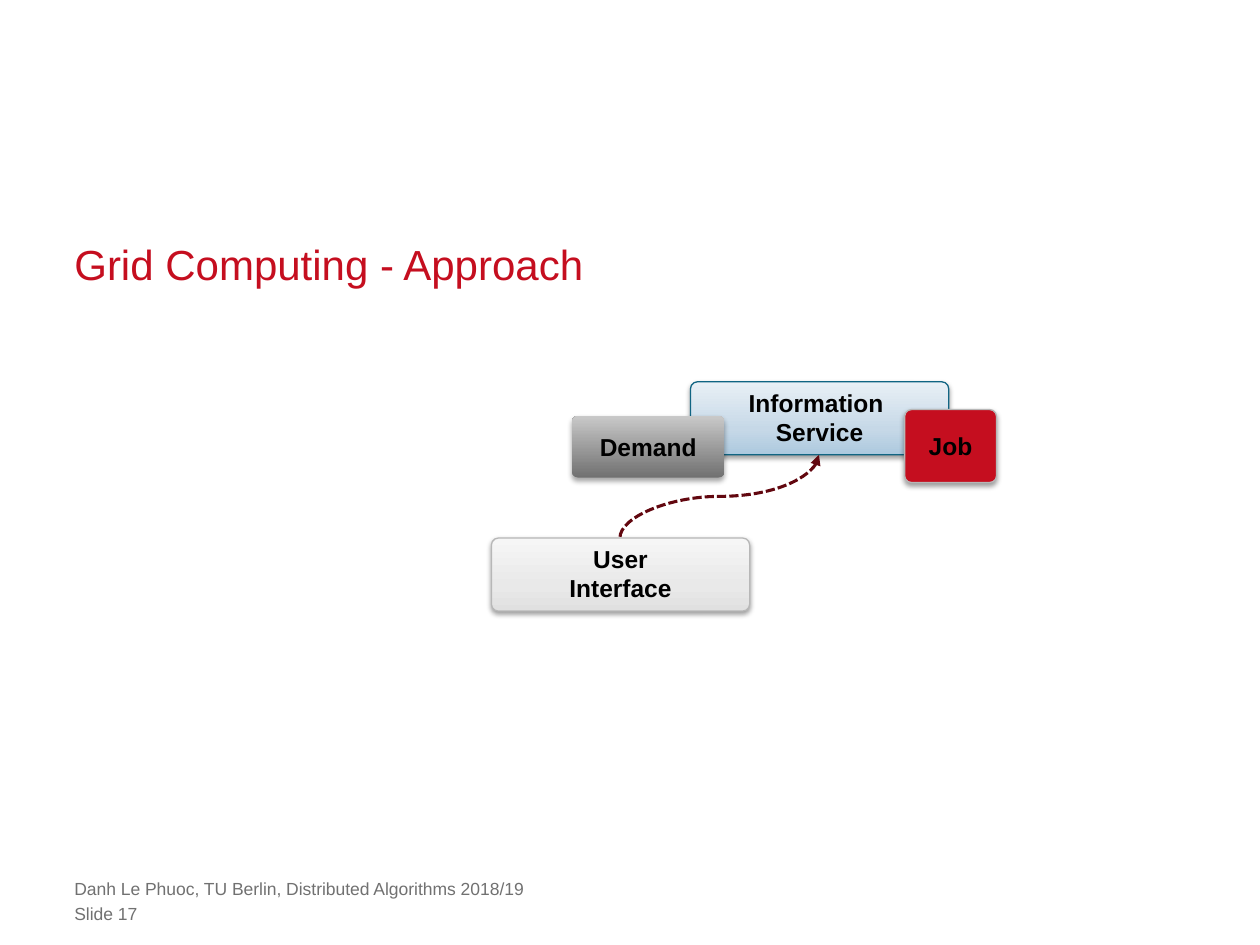
import copy

import pptx
import pptx.dml.color
import pptx.enum.dml
import pptx.enum.shapes
import pptx.enum.text
import pptx.oxml.ns
import pptx.util
from lxml import etree

RGBColor = pptx.dml.color.RGBColor
Inches = pptx.util.Inches
Pt = pptx.util.Pt
ANCHOR = pptx.enum.text.MSO_ANCHOR
qn = pptx.oxml.ns.qn

RED = RGBColor(0xC5, 0x0E, 0x1F)
DARK_RED = RGBColor(0x62, 0x07, 0x0F)
GREY = RGBColor(0x71, 0x71, 0x71)
BORDER_GREY = RGBColor(0xB7, 0xB7, 0xB7)
BORDER_BLUE = RGBColor(0x11, 0x65, 0x83)
BLACK = RGBColor(0, 0, 0)
# Gradient stops run from the bottom edge up
LIGHT_GREYS = [(0, RGBColor(0xE0, 0xE0, 0xE0)), (0.35, RGBColor(0xE9, 0xE9, 0xE9)),
               (1, RGBColor(0xF6, 0xF6, 0xF6))]
BLUES = [(0, RGBColor(0xAC, 0xC9, 0xDE)), (0.35, RGBColor(0xC6, 0xD8, 0xE7)),
         (1, RGBColor(0xE9, 0xF0, 0xF6))]
DARK_GREYS = [(0, GREY), (1, RGBColor(0xC9, 0xC9, 0xC9))]
SOLID_RED = [(0, RED)]

presentation = pptx.Presentation()
presentation.slide_width = Inches(10)
presentation.slide_height = Inches(7.5)
slide = presentation.slides.add_slide(presentation.slide_layouts[6])

MARGIN = 0.59


def add_box(left, top, width, height, lines, stops, border, anchor, shadow_alpha, shadow_distance):
    shape = slide.shapes.add_shape(pptx.enum.shapes.MSO_SHAPE.ROUNDED_RECTANGLE,
                                   Inches(left), Inches(top), Inches(width), Inches(height))
    shape.adjustments[0] = 0.096

    # Fill and border
    if len(stops) == 1:
        shape.fill.solid()
        shape.fill.fore_color.rgb = stops[0][1]
    else:
        shape.fill.gradient()
        shape.fill.gradient_angle = 90
        stop_list = shape._element.spPr.find(".//" + qn("a:gsLst"))
        while len(stop_list) < len(stops):
            stop_list.append(copy.deepcopy(stop_list[-1]))
        for gradient_stop, (position, color) in zip(shape.fill.gradient_stops, stops):
            gradient_stop.position = position
            gradient_stop.color.rgb = color
    if border is None:
        shape.line.fill.background()
    else:
        shape.line.color.rgb = border
        shape.line.width = Pt(0.75)

    # Soft shadow straight below
    shape.shadow.inherit = False
    effects = shape._element.spPr.find(qn("a:effectLst"))
    shadow = etree.SubElement(effects, qn("a:outerShdw"), blurRad=str(Pt(3.1)),
                              dist=str(Pt(shadow_distance)), dir="5400000", rotWithShape="0")
    shadow_color = etree.SubElement(shadow, qn("a:srgbClr"), val=str(BLACK))
    etree.SubElement(shadow_color, qn("a:alpha"), val=str(shadow_alpha * 1000))

    # Label, one paragraph per line
    frame = shape.text_frame
    frame.vertical_anchor = anchor
    frame.text = "\n".join(lines)
    for paragraph in frame.paragraphs:
        paragraph.alignment = pptx.enum.text.PP_ALIGN.CENTER
        paragraph.font.name = "Arial"
        paragraph.font.size = Pt(14)
        paragraph.font.bold = True
        paragraph.font.color.rgb = BLACK


# Title and footer lines
for text, top, width, height, size, color, anchor, spacing in [
    ("Grid Computing - Approach", 1.9, 8.82, 0.39, 24, RED, ANCHOR.BOTTOM, Pt(30)),
    ("Danh Le Phuoc, TU Berlin, Distributed Algorithms 2018/19",
     6.97, 7.24, 0.17, 10, GREY, ANCHOR.TOP, None),
    ("Slide 17", 7.17, 7.24, 0.17, 10, GREY, ANCHOR.TOP, None),
]:
    text_box = slide.shapes.add_textbox(Inches(MARGIN), Inches(top), Inches(width), Inches(height))
    frame = text_box.text_frame
    frame.word_wrap = True
    frame.vertical_anchor = anchor
    frame.margin_left = frame.margin_top = frame.margin_right = frame.margin_bottom = 0
    paragraph = frame.paragraphs[0]
    paragraph.text = text
    paragraph.line_spacing = spacing
    paragraph.font.name = "Arial"
    paragraph.font.size = Pt(size)
    paragraph.font.color.rgb = color

# User interface and information service
add_box(3.9, 4.27, 2.05, 0.58, ["User", "Interface"], LIGHT_GREYS, BORDER_GREY,
        ANCHOR.BOTTOM, 38, 1.6)
add_box(5.48, 3.03, 2.05, 0.58, ["Information ", "Service"], BLUES, BORDER_BLUE,
        ANCHOR.BOTTOM, 38, 1.6)

# Dashed curve: a quarter turn makes it leave and arrive vertically
curve = slide.shapes.add_connector(pptx.enum.shapes.MSO_CONNECTOR.CURVE, Inches(5.38), Inches(3.15),
                                   Inches(5.38 + 0.66), Inches(3.15 + 1.58))
curve._element.spPr.find(qn("a:xfrm")).set("rot", "5400000")
curve.line.color.rgb = DARK_RED
curve.line.width = Pt(1.75)
curve.line.dash_style = pptx.enum.dml.MSO_LINE.SQUARE_DOT
etree.SubElement(curve._element.spPr.find(qn("a:ln")), qn("a:headEnd"), type="triangle")
etree.SubElement(curve._element.spPr, qn("a:effectLst"))

# Job and demand tokens
add_box(7.18, 3.25, 0.73, 0.58, ["Job"], SOLID_RED, BORDER_GREY, ANCHOR.MIDDLE, 38, 1.6)
add_box(4.54, 3.3, 1.21, 0.49, ["Demand"], DARK_GREYS, None, ANCHOR.MIDDLE, 35, 1.8)

presentation.save("out.pptx")
